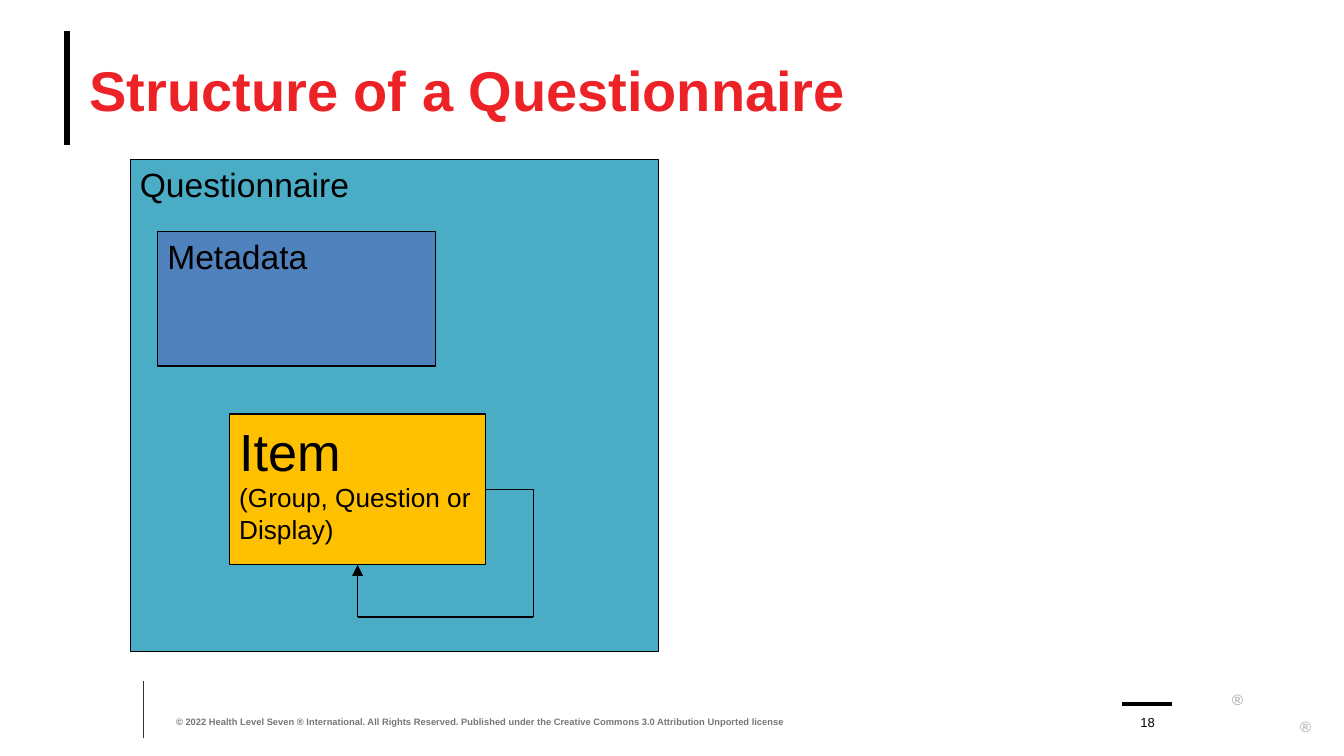
from pptx import Presentation
from pptx.dml.color import RGBColor
from pptx.enum.shapes import MSO_CONNECTOR, MSO_SHAPE
from pptx.enum.text import MSO_ANCHOR, PP_ALIGN
from pptx.oxml.ns import qn
from pptx.util import Pt
from lxml import etree

STRAIGHT, RECT = MSO_CONNECTOR.STRAIGHT, MSO_SHAPE.RECTANGLE
TOP, MIDDLE, BOTTOM = MSO_ANCHOR.TOP, MSO_ANCHOR.MIDDLE, MSO_ANCHOR.BOTTOM
LEFT, CENTER = PP_ALIGN.LEFT, PP_ALIGN.CENTER
FONT, BLACK = "Arial", "000000"


def rgb(value):
    return RGBColor.from_string(value)


def write(tf, lines, color=BLACK, bold=False, align=LEFT, anchor=TOP,
          insets=(0, 0), wrap=True):
    """Fill a text frame with one paragraph per (text, size) pair."""
    tf.word_wrap = wrap
    tf.vertical_anchor = anchor
    tf.margin_left = tf.margin_right = Pt(insets[0])
    tf.margin_top = tf.margin_bottom = Pt(insets[1])
    for i, (text, size) in enumerate(lines):
        p = tf.paragraphs[0] if i == 0 else tf.add_paragraph()
        p.alignment = align
        r = p.add_run()
        r.text = text
        r.font.name, r.font.size, r.font.bold = FONT, Pt(size), bold
        r.font.color.rgb = rgb(color)


def add_title(s, text):
    title = s.shapes.title
    title.left, title.top, title.width, title.height = Pt(48), Pt(16.5), Pt(648), Pt(62)
    write(title.text_frame, [(text, 30)], "EC2227", bold=True, anchor=MIDDLE)


def add_text(s, x, y, w, h, text, size, **style):
    box = s.shapes.add_textbox(Pt(x), Pt(y), Pt(w), Pt(h))
    write(box.text_frame, [(text, size)], **style)


def add_box(s, x, y, w, h, fill, lines):
    sp = s.shapes.add_shape(RECT, Pt(x), Pt(y), Pt(w), Pt(h))
    sp.shadow.inherit = False
    sp.fill.solid()
    sp.fill.fore_color.rgb = rgb(fill)
    sp.line.color.rgb = rgb(BLACK)
    sp.line.width = Pt(0.75)
    write(sp.text_frame, lines, insets=(5.2, 2.6))


def add_line(s, start, end, width=0.75, color=BLACK, arrow=False):
    line = s.shapes.add_connector(STRAIGHT, *(Pt(v) for v in (*start, *end)))
    line.line.color.rgb = rgb(color)
    line.line.width = Pt(width)
    if arrow:
        etree.SubElement(line.line._get_or_add_ln(), qn("a:tailEnd"), type="triangle")
    etree.SubElement(line._element.spPr, qn("a:effectLst"))


def add_loop(s, x, y, w, h, out, drop):
    """Arrow from the right side of a box back to its bottom."""
    right, low, mid = x + w + out, y + h + drop, x + w / 2
    points = [(x + w, y + h / 2), (right, y + h / 2), (right, low),
              (mid, low), (mid, y + h)]
    for i, (start, end) in enumerate(zip(points, points[1:])):
        add_line(s, start, end, arrow=i == len(points) - 2)


def main():
    prs = Presentation()
    prs.slide_width, prs.slide_height = Pt(720), Pt(405)
    s = prs.slides.add_slide(prs.slide_layouts[5])

    # Title and its accent bar
    add_line(s, (36, 16.5), (36, 77.8), 3.25)
    add_title(s, "Structure of a Questionnaire")

    # Footer
    add_line(s, (77, 365), (77, 395.3), 0.5, "3D3029")
    add_line(s, (601.2, 377.3), (627.8, 377.3), 2)
    add_text(s, 94.3, 377.3, 356.4, 12.2,
             "© 2022 Health Level Seven ® International. All Rights Reserved. "
             "Published under the Creative Commons 3.0 Attribution Unported license",
             5, color="747679", bold=True, anchor=BOTTOM)
    add_text(s, 604, 377.3, 21.6, 13.7, "18", 7, align=CENTER, anchor=BOTTOM)
    for x, y in ((659.5, 367.2), (696, 381.6)):
        add_text(s, x, y, 7, 6.5, "®", 8, color="A6A6A6", align=CENTER,
                 insets=(0, 3.6), wrap=False)

    # Nested questionnaire parts
    item = (123, 221.8, 137.2, 80.8)
    add_box(s, 69.8, 85.5, 283, 263.5, "4BACC6", [("Questionnaire", 18)])
    add_box(s, 84.5, 124, 149, 72.2, "4F81BD", [("Metadata", 18)])
    add_box(s, *item, "FFC000",
            [("Item", 28), ("(Group, Question or", 14), ("Display)", 14)])

    # Items may contain items
    add_loop(s, *item, out=25.5, drop=28)

    prs.save("out.pptx")


if __name__ == "__main__":
    main()
